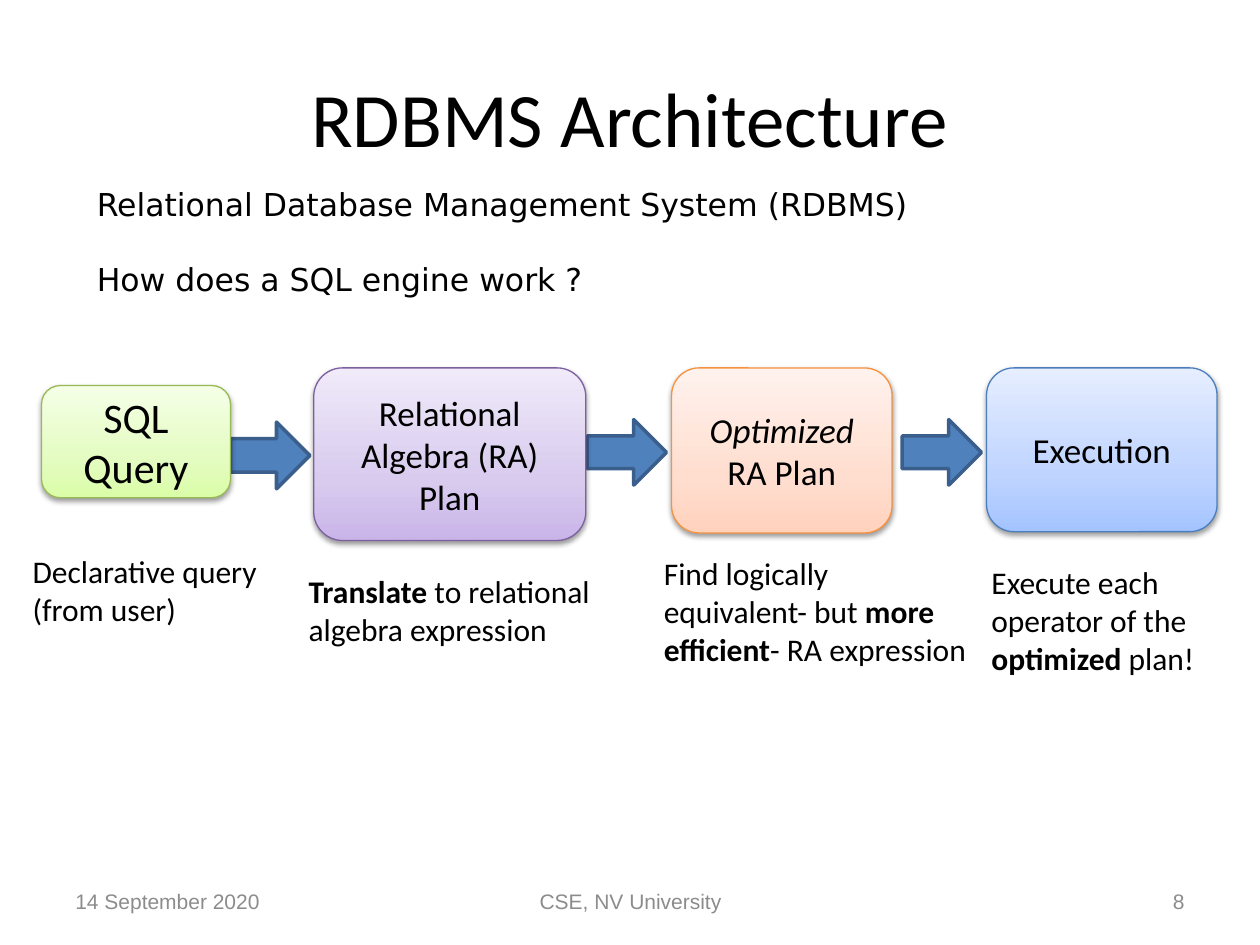
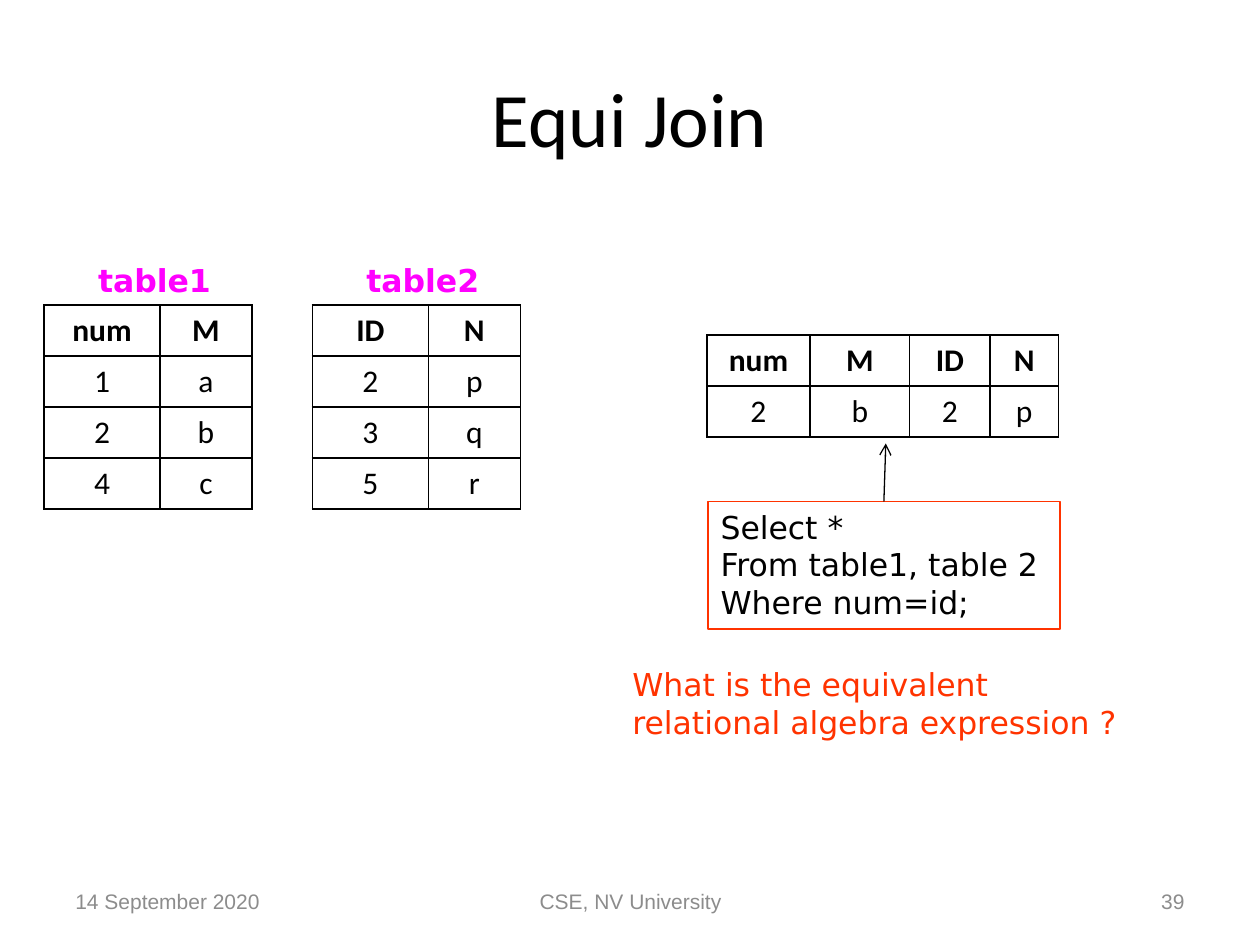
from dataclasses import dataclass
from typing import NamedTuple

from lxml import etree
from pptx import Presentation
from pptx.dml.color import RGBColor
from pptx.enum.shapes import MSO_CONNECTOR as Connector, MSO_SHAPE as Shape
from pptx.enum.text import MSO_ANCHOR as Anchor, PP_ALIGN as Align
from pptx.oxml import parse_xml
from pptx.oxml.ns import nsdecls, qn
from pptx.util import Inches, Pt

COLORS = {
    "text": "000000",
    "footer": "8C8C8C",
    "arrow": "4F81BD",
    "arrow_line": "3A5F8C",
    "caption": "FF00FF",
    "accent": "FF3300",
}
# Each stage: three gradient stops from bottom to top, then the outline
STAGE_COLORS = {
    "green": ("DAFDA7", "E4FCC2", "F5FFE7", "98B955"),
    "purple": ("C9B5E8", "D8CBEE", "F0EAF9", "7D60A0"),
    "orange": ("FFD2BD", "FFDED0", "FFF2ED", "F69240"),
    "blue": ("A4C4FF", "BFD4FF", "E6EEFF", "4B7EBC"),
}
BODY, CODE, FOOTER = "Calibri", "DejaVu Sans", "Arial"


class Box(NamedTuple):
    left: float
    top: float
    width: float
    height: float

    def lengths(self) -> list:
        return [Inches(value) for value in self]


class Run(NamedTuple):
    text: str
    bold: bool = False
    italic: bool = False


@dataclass
class TextStyle:
    size: float = 18
    font: str = BODY
    color: str = "text"
    bold: bool = False
    align: Align = Align.LEFT
    anchor: Anchor = Anchor.TOP
    wrap: bool = True
    gap: float = 0


@dataclass
class Stage:
    box: Box
    runs: list
    palette: str
    note_box: Box
    note: list
    size: float = 20


@dataclass
class Relation:
    left: float
    top: float
    columns: list
    rows: list
    caption: str = ""


TITLE = TextStyle(44, align=Align.CENTER, anchor=Anchor.MIDDLE)
CODE_TEXT = TextStyle(font=CODE, wrap=False)
QUESTION = TextStyle(font=CODE, color="accent", wrap=False)
CAPTION = TextStyle(font=CODE, color="caption", bold=True, wrap=False)
ROW_HEIGHT = 0.405

FOOTERS = [
    (Box(0.5, 6.95, 2.33, 0.4), Align.LEFT),
    (Box(3.42, 6.95, 3.17, 0.4), Align.CENTER),
    (Box(7.17, 6.95, 2.33, 0.4), Align.RIGHT),
]

STAGES = [
    Stage(Box(0.33, 3.06, 1.5, 0.89), [Run("SQL Query")], "green",
          Box(0.16, 4.33, 1.99, 1.01), [Run("Declarative query (from user)")], 24),
    Stage(Box(2.49, 2.92, 2.16, 1.37), [Run("Relational Algebra (RA) Plan")], "purple",
          Box(2.35, 4.49, 2.62, 1.01),
          [Run("Translate", bold=True), Run(" to relational algebra expression")]),
    Stage(Box(5.33, 2.92, 1.75, 1.31),
          [Run("Optimized", italic=True), Run(" RA Plan")], "orange",
          Box(5.17, 4.35, 2.61, 1.31),
          [Run("Find logically equivalent- but "), Run("more efficient", bold=True),
           Run("- RA expression")]),
    Stage(Box(7.83, 2.92, 1.83, 1.3), [Run("Execution")], "blue",
          Box(7.77, 4.42, 2.23, 1.31),
          [Run("Execute each operator of the "), Run("optimized", bold=True),
           Run(" plan!")]),
]
ARROWS = [Box(1.83, 3.35, 0.63, 0.53), Box(4.66, 3.33, 0.63, 0.52),
          Box(7.16, 3.33, 0.63, 0.52)]

RELATIONS = [
    Relation(0.35, 2.42, [0.92, 0.73], ["num M", "1 a", "2 b", "4 c"], "table1"),
    Relation(2.48, 2.42, [0.92, 0.73], ["ID N", "2 p", "3 q", "5 r"], "table2"),
    Relation(5.61, 2.66, [0.82, 0.79, 0.64, 0.54], ["num M ID N", "2 b 2 p"]),
]


def rgb(name: str) -> RGBColor:
    return RGBColor.from_string(COLORS[name])


def write(frame, paragraphs: list, style: TextStyle) -> None:
    """Fill a text frame; each paragraph is a string or a list of runs."""
    frame.word_wrap = style.wrap
    frame.vertical_anchor = style.anchor
    for index, content in enumerate(paragraphs):
        paragraph = frame.add_paragraph() if index else frame.paragraphs[0]
        paragraph.alignment = style.align
        if index and style.gap:
            paragraph.space_before = Pt(style.gap)
        font = paragraph.font
        font.size, font.name, font.bold = Pt(style.size), style.font, style.bold
        font.color.rgb = rgb(style.color)
        for part in [Run(content)] if isinstance(content, str) else content:
            run = paragraph.add_run()
            run.text = part.text
            if part.bold:
                run.font.bold = True
            if part.italic:
                run.font.italic = True


def add_text(slide, box: Box, paragraphs: list, style: TextStyle) -> None:
    write(slide.shapes.add_textbox(*box.lengths()).text_frame, paragraphs, style)


def add_slide(presentation, title: str, number: int):
    """Start a blank slide with the shared title and footers."""
    slide = presentation.slides.add_slide(presentation.slide_layouts[6])
    add_text(slide, Box(0.5, 0.3, 9, 1.25), [title], TITLE)
    texts = ["14 September 2020", "CSE, NV University", str(number)]
    for (box, align), text in zip(FOOTERS, texts):
        add_text(slide, box, [text],
                 TextStyle(12, FOOTER, "footer", align=align, anchor=Anchor.MIDDLE))
    return slide


def add_arrow(slide, box: Box) -> None:
    arrow = slide.shapes.add_shape(Shape.RIGHT_ARROW, *box.lengths())
    arrow.shadow.inherit = False
    arrow.fill.solid()
    arrow.fill.fore_color.rgb = rgb("arrow")
    arrow.line.color.rgb = rgb("arrow_line")
    arrow.line.width = Pt(2)


def add_stage(slide, stage: Stage) -> None:
    shape = slide.shapes.add_shape(Shape.ROUNDED_RECTANGLE, *stage.box.lengths())
    *stops, outline = STAGE_COLORS[stage.palette]
    shape.line.color.rgb = RGBColor.from_string(outline)
    shape.line.width = Pt(0.75)
    # Three-stop gradient
    stop_xml = "".join(
        f'<a:gs pos="{position * 1000}"><a:srgbClr val="{color}"/></a:gs>'
        for position, color in zip((0, 35, 100), stops))
    shape.line._get_or_add_ln().addprevious(parse_xml(
        f'<a:gradFill {nsdecls("a")} rotWithShape="1"><a:gsLst>{stop_xml}</a:gsLst>'
        '<a:lin ang="16200000" scaled="0"/></a:gradFill>'))
    # Soft shadow below
    shape.shadow.inherit = False
    effects = shape._element.spPr.find(qn("a:effectLst"))
    effects.append(parse_xml(
        f'<a:outerShdw {nsdecls("a")} blurRad="{Pt(3.1)}" dist="{Pt(1.6)}" '
        'dir="5400000" rotWithShape="0"><a:srgbClr val="000000">'
        '<a:alpha val="38000"/></a:srgbClr></a:outerShdw>'))
    write(shape.text_frame, [stage.runs],
          TextStyle(stage.size, align=Align.CENTER, anchor=Anchor.MIDDLE))
    add_text(slide, stage.note_box, [stage.note], TextStyle())


def set_borders(cell) -> None:
    properties = cell._tc.get_or_add_tcPr()
    for index, side in enumerate(("lnL", "lnR", "lnT", "lnB")):
        properties.insert(index, parse_xml(
            f'<a:{side} {nsdecls("a")} w="{Pt(1)}"><a:solidFill>'
            f'<a:srgbClr val="{COLORS["text"]}"/></a:solidFill></a:{side}>'))


def add_relation(slide, relation: Relation) -> None:
    box = Box(relation.left, relation.top, sum(relation.columns),
              ROW_HEIGHT * len(relation.rows))
    table = slide.shapes.add_table(len(relation.rows), len(relation.columns),
                                   *box.lengths()).table
    table.first_row = table.horz_banding = False
    for column, width in zip(table.columns, relation.columns):
        column.width = Inches(width)
    for row_index, row in enumerate(relation.rows):
        for column_index, value in enumerate(row.split()):
            cell = table.cell(row_index, column_index)
            cell.fill.background()
            set_borders(cell)
            write(cell.text_frame, [value],
                  TextStyle(bold=row_index == 0, align=Align.CENTER))
    if relation.caption:
        add_text(slide, Box(relation.left + 0.33, relation.top - 0.4, 1.1, 0.4),
                 [relation.caption], CAPTION)


def add_query(slide) -> None:
    """Framed query with an arrow up to its result."""
    query = slide.shapes.add_shape(Shape.RECTANGLE, *Box(5.62, 3.98, 2.79, 1.01).lengths())
    query.shadow.inherit = False
    query.fill.background()
    query.line.color.rgb = rgb("accent")
    query.line.width = Pt(1)
    write(query.text_frame, ["Select *", "From table1, table 2", "Where num=id;"], CODE_TEXT)

    pointer = slide.shapes.add_connector(
        Connector.STRAIGHT, Inches(7.02), Inches(3.98), Inches(7.03), Inches(3.52))
    pointer.begin_connect(query, 0)
    pointer.line.color.rgb = rgb("text")
    pointer.line.width = Pt(0.75)
    etree.SubElement(pointer.line._get_or_add_ln(), qn("a:tailEnd"), type="arrow")
    etree.SubElement(pointer._element.spPr, qn("a:effectLst"))


def build_architecture(presentation) -> None:
    slide = add_slide(presentation, "RDBMS Architecture", 8)
    add_text(slide, Box(0.67, 1.42, 6.73, 1.01),
             ["Relational Database Management System (RDBMS)",
              "How does a SQL engine work ?"],
             TextStyle(font=CODE, wrap=False, gap=21))
    for arrow in ARROWS:
        add_arrow(slide, arrow)
    for stage in STAGES:
        add_stage(slide, stage)


def build_equi_join(presentation) -> None:
    slide = add_slide(presentation, "Equi Join", 39)
    for relation in RELATIONS:
        add_relation(slide, relation)
    add_query(slide)
    add_text(slide, Box(4.92, 5.23, 4.18, 0.71),
             ["What is the equivalent", "relational algebra expression ?"], QUESTION)


def main() -> None:
    presentation = Presentation()
    presentation.slide_width, presentation.slide_height = Inches(10), Inches(7.5)
    build_architecture(presentation)
    build_equi_join(presentation)
    presentation.save("out.pptx")


if __name__ == "__main__":
    main()
